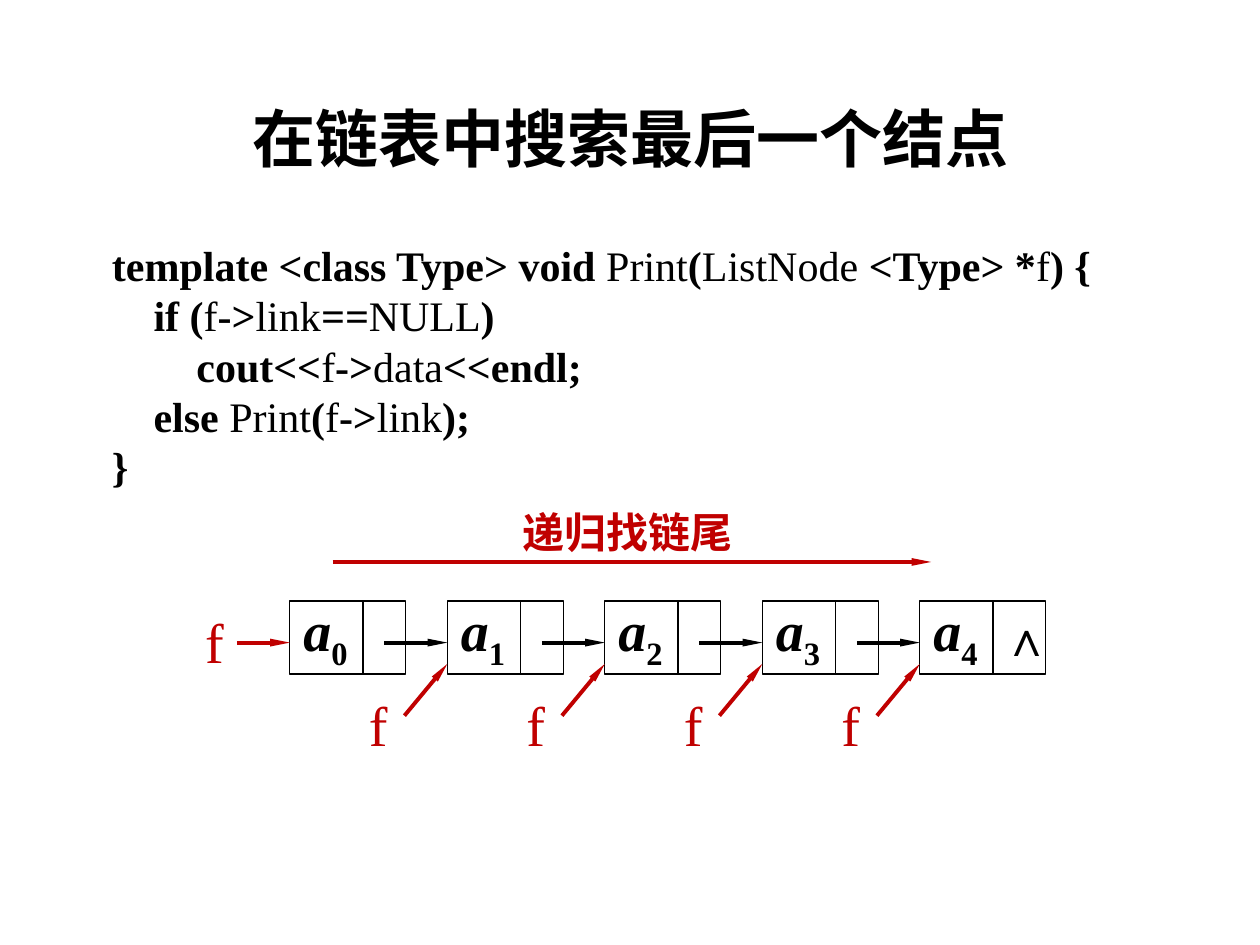
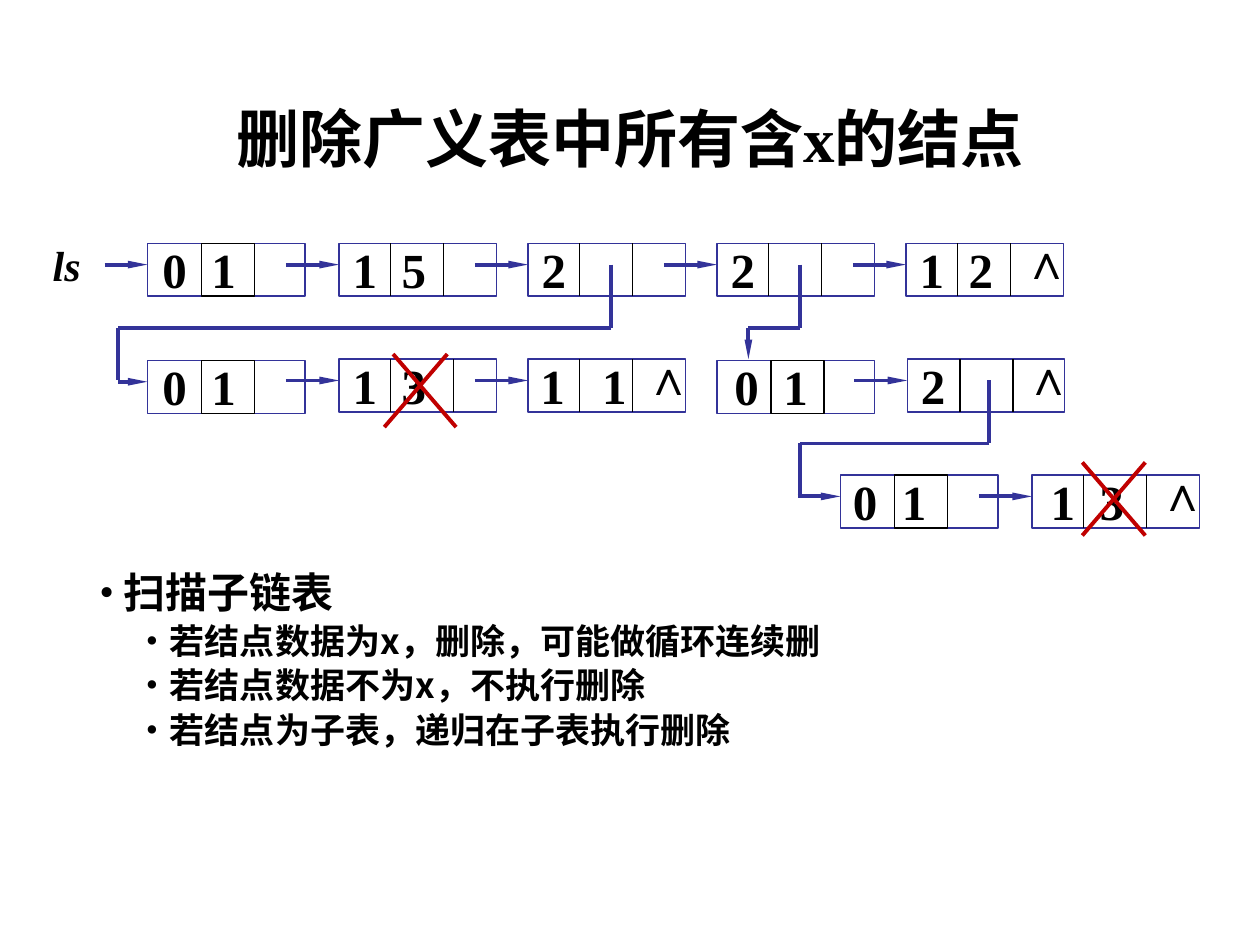
"""Build two slides on recursion over linked lists and generalized lists."""
from typing import NamedTuple

from lxml.etree import SubElement
from pptx import Presentation
from pptx.dml.color import RGBColor
from pptx.enum.shapes import MSO_CONNECTOR, MSO_SHAPE
from pptx.enum.text import MSO_ANCHOR, PP_ALIGN
from pptx.oxml.ns import qn
from pptx.util import Emu, Pt

SCALE = 9144
BLACK, RED, BLUE = "000000", "C00000", "333399"
ROMAN, HAN, SANS = "Times New Roman", "Noto Sans CJK SC", "Calibri"
THIN, THICK = 0.75, 2.25


class Style(NamedTuple):
    size: int
    face: str = ROMAN
    color: str = BLACK
    bold: bool = True
    italic: bool = False


class Node(NamedTuple):
    left: int
    top: int
    text: str
    bars: tuple = ()
    shift: int = 1
    lead: int = 42
    width: int = 125
    gap: int = 39
    nil: bool = False


DIGIT = Style(28)
POINTER = Style(32, color=RED, bold=False)

CODE = (
    (0, "template <class Type> void| Print|(|ListNode |<Type> *|f|) {"),
    (33, "if (|f|->|link|==|NULL|)"),
    (67, "cout<<|f|->|data|<<endl;"),
    (33, "else |Print|(|f|->|link|);"),
    (0, "}"),
)
NODES = (
    Node(117, 193, "01", shift=2, lead=34),
    Node(269, 193, "15", (41, 83)),
    Node(419, 193, "2", (41, 83)),
    Node(569, 193, "2", (41, 83)),
    Node(719, 193, "12", (41, 83), nil=True),
    Node(117, 286, "01", shift=2, lead=23),
    Node(269, 285, "13", (41, 91)),
    Node(419, 285, "11", (41, 83), shift=0, gap=49, nil=True),
    Node(569, 286, "01", shift=4, lead=0),
    Node(720, 285, "2", (42, 84), nil=True),
    Node(667, 377, "01", shift=0, lead=34),
    Node(819, 377, "13", (41, 91), shift=5, width=133, nil=True),
)
ROUTES = (
    ((485, 210), (485, 260), (94, 260), (94, 302)),
    ((635, 210), (635, 260), (594, 260)),
    ((785, 302), (785, 352), (635, 352), (635, 393)),
)
CROSSES = (
    ((312, 281), (362, 339)), ((355, 281), (305, 339)),
    ((859, 367), (909, 425)), ((909, 367), (859, 425)),
)
NOTES = (
    (0, "扫描子链表"),
    (1, "若结点数据为x，删除，可能做循环连续删"),
    (1, "若结点数据不为x，不执行删除"),
    (1, "若结点为子表，递归在子表执行删除"),
)


def px(count: int) -> Emu:
    """Turn px into EMU."""
    return Emu(count * SCALE)


def rgb(code: str) -> RGBColor:
    """Turn a hex string into a colour."""
    return RGBColor.from_string(code)


def dress(para, style: Style) -> None:
    """Set the font of a whole paragraph."""
    font = para.font
    font.size, font.name = Pt(style.size), style.face
    font.bold, font.italic = style.bold, style.italic
    font.color.rgb = rgb(style.color)
    base = para._p.pPr.find(qn("a:defRPr"))
    SubElement(base, qn("a:ea")).set("typeface", HAN)


def insert(para, tag: str, **attrs: str) -> None:
    """Put a paragraph property ahead of the default font."""
    props = para._p.pPr
    item = SubElement(props, qn(tag), attrs)
    props.find(qn("a:defRPr")).addprevious(item)


def frame(slide, left: int, top: int, width: int, height: int, wrap: bool = False):
    """Add a text box and return its text frame."""
    box = slide.shapes.add_textbox(px(left), px(top), px(width), px(height))
    box.text_frame.word_wrap = wrap
    return box.text_frame


def label(slide, left: int, top: int, width: int, height: int, text: str, style: Style):
    """Add a one-line label and return its paragraph."""
    para = frame(slide, left, top, width, height).paragraphs[0]
    para.add_run().text = text
    dress(para, style)
    return para


def line(slide, start: tuple, end: tuple, color: str = BLACK,
         weight: float = THICK, arrow: bool = False) -> None:
    """Draw a straight line, with a slim arrowhead at its end if asked."""
    link = slide.shapes.add_connector(
        MSO_CONNECTOR.STRAIGHT, *map(px, (*start, *end)))
    link.line.color.rgb = rgb(color)
    link.line.width = Pt(weight)
    if arrow:
        SubElement(link.line._get_or_add_ln(), qn("a:tailEnd"),
                   type="triangle", w="sm", len="lg")
    SubElement(link._element.spPr, qn("a:effectLst"))


def rect(slide, left: int, top: int, width: int, height: int, color: str = BLACK) -> None:
    """Draw an unfilled box."""
    box = slide.shapes.add_shape(
        MSO_SHAPE.RECTANGLE, *map(px, (left, top, width, height)))
    box.shadow.inherit = False
    box.fill.background()
    box.line.color.rgb = rgb(color)
    box.line.width = Pt(THIN)


def start(deck, text: str, face: str):
    """Add a slide with its title."""
    slide = deck.slides.add_slide(deck.slide_layouts[5])
    title = slide.shapes.title
    title.left, title.top, title.width, title.height = map(px, (69, 40, 862, 145))
    title.text_frame.vertical_anchor = MSO_ANCHOR.MIDDLE
    para = title.text_frame.paragraphs[0]
    para.add_run().text = text
    para.alignment, para.line_spacing = PP_ALIGN.CENTER, 0.9
    dress(para, Style(36, face))
    return slide


def code(slide) -> None:
    """Write the function, with bold and plain parts in turn."""
    body = frame(slide, 79, 185, 842, 212, wrap=True)
    for row, (indent, text) in enumerate(CODE):
        para = body.add_paragraph() if row else body.paragraphs[0]
        para.line_spacing = Pt(28.8)
        para.space_before = Pt(0 if row else 2)
        dress(para, Style(24))
        para._p.pPr.set("marL", str(px(indent)))
        for turn, part in enumerate(text.split("|")):
            run = para.add_run()
            run.text = part
            run.font.bold = turn % 2 == 0
            if part == "==":
                run.font.italic = True


def chain(slide) -> None:
    """Draw the list of five nodes with the moving pointer."""
    for step in range(5):
        left, last = 230 + 125 * step, step == 4
        rect(slide, left, 477, 100 if last else 92, 58)
        line(slide, (left + 58, 477), (left + 58, 535), weight=THIN)
        if step:
            line(slide, (left - 50, 510), (left, 510), arrow=True)
            line(slide, (left - 34, 568), (left, 527), RED, arrow=True)
            label(slide, left - 72, 543, 46, 64, "f", POINTER)
        else:
            line(slide, (left - 42, 510), (left, 510), RED, arrow=True)
            label(slide, left - 77, 477, 46, 64, "f", POINTER)
        name = label(slide, left + 1, 468, 59, 64, "a", Style(32, italic=True))
        index = name.add_run()
        index.text = str(step)
        index.font.italic = False
        index._r.get_or_add_rPr().set("baseline", "-25000")
    label(slide, 786, 477, 44, 57, "∧", DIGIT)
    line(slide, (264, 446), (739, 446), RED, arrow=True)
    label(slide, 405, 397, 188, 50, "递归找链尾", Style(24, SANS, RED))


def cell(slide, node: Node) -> None:
    """Draw one node and the arrow that leads to it."""
    left, top = node.left, node.top
    rect(slide, left, top, node.width, 42, BLUE)
    if node.lead:
        line(slide, (left - node.lead, top + 17), (left, top + 17), BLUE, arrow=True)
    for bar in node.bars:
        line(slide, (left + bar, top), (left + bar, top + 42), weight=THIN)
    if not node.bars:
        rect(slide, left + 43, top, 42, 42)
    for place, digit in enumerate(node.text):
        label(slide, left + node.shift + place * node.gap, top - 8, 40, 57, digit, DIGIT)
    if node.nil:
        label(slide, left + node.width - 42, top - 15, 44, 57, "∧", DIGIT)


def notes(slide) -> None:
    """Write the bulleted rules."""
    body = frame(slide, 69, 449, 862, 227, wrap=True)
    for row, (level, text) in enumerate(NOTES):
        para = body.add_paragraph() if row else body.paragraphs[0]
        para.add_run().text = text
        para.level, para.line_spacing = level, 0.9
        para.space_before = Pt(3.8 if level else 7.5)
        dress(para, Style(20 if level else 24, HAN))
        para._p.pPr.set("marL", str(px(56 if level else 19)))
        para._p.pPr.set("indent", str(px(-19)))
        insert(para, "a:buFont", typeface=ROMAN)
        insert(para, "a:buChar", char="•")


def main() -> None:
    """Build and save the deck."""
    deck = Presentation()
    deck.slide_width, deck.slide_height = px(1000), px(750)

    find = start(deck, "在链表中搜索最后一个结点", HAN)
    code(find)
    chain(find)

    prune = start(deck, "删除广义表中所有含x的结点", ROMAN)
    notes(prune)
    label(prune, 32, 185, 43, 50, "ls", Style(24, italic=True))
    for node in NODES:
        cell(prune, node)
    for route in ROUTES:
        for near, far in zip(route, route[1:]):
            line(prune, near, far, BLUE)
    line(prune, (594, 260), (594, 285), BLUE, arrow=True)
    for near, far in CROSSES:
        line(prune, near, far, RED)
    deck.save("out.pptx")


if __name__ == "__main__":
    main()
